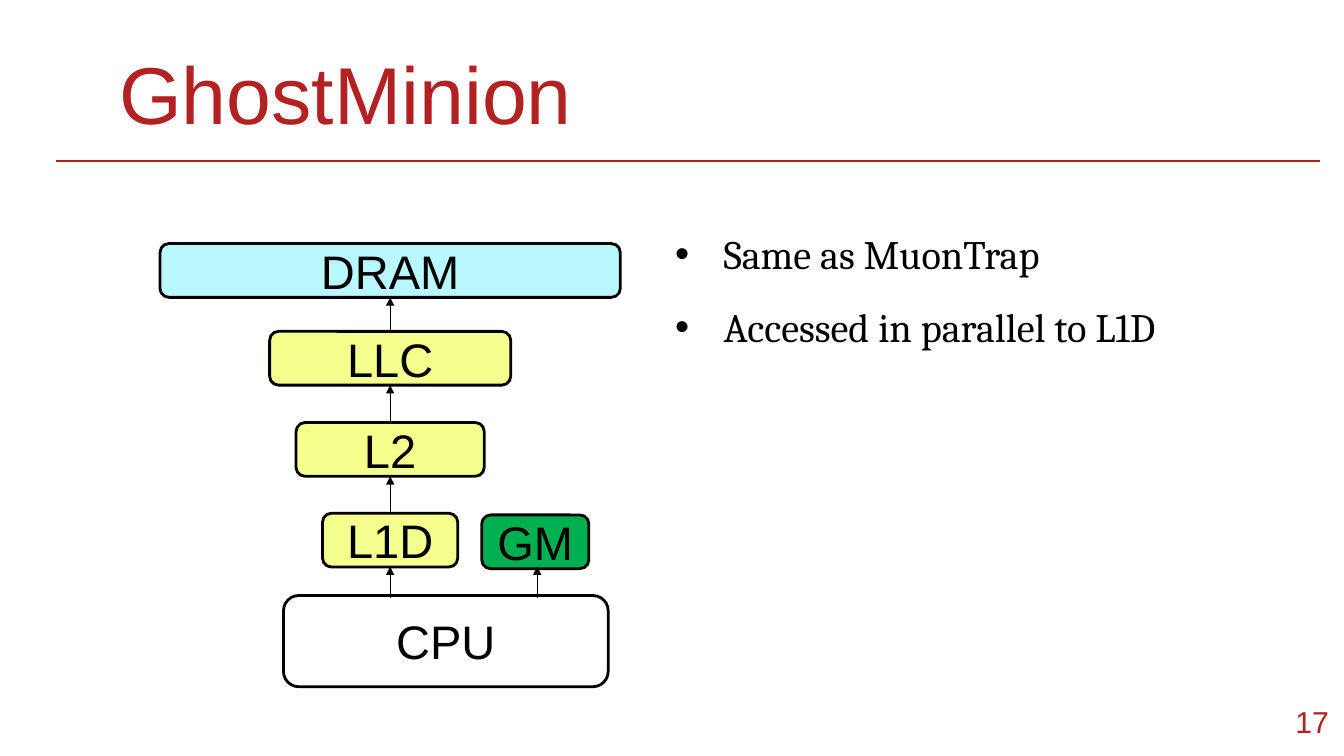
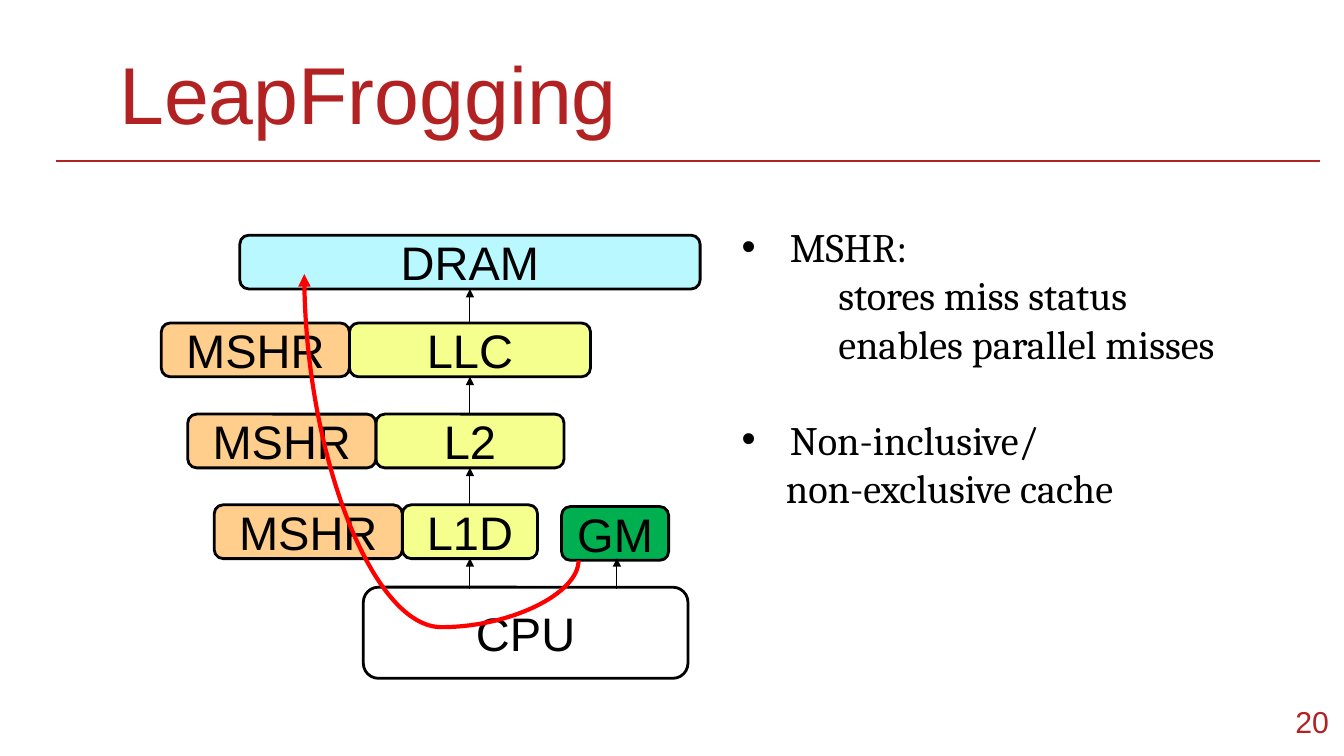
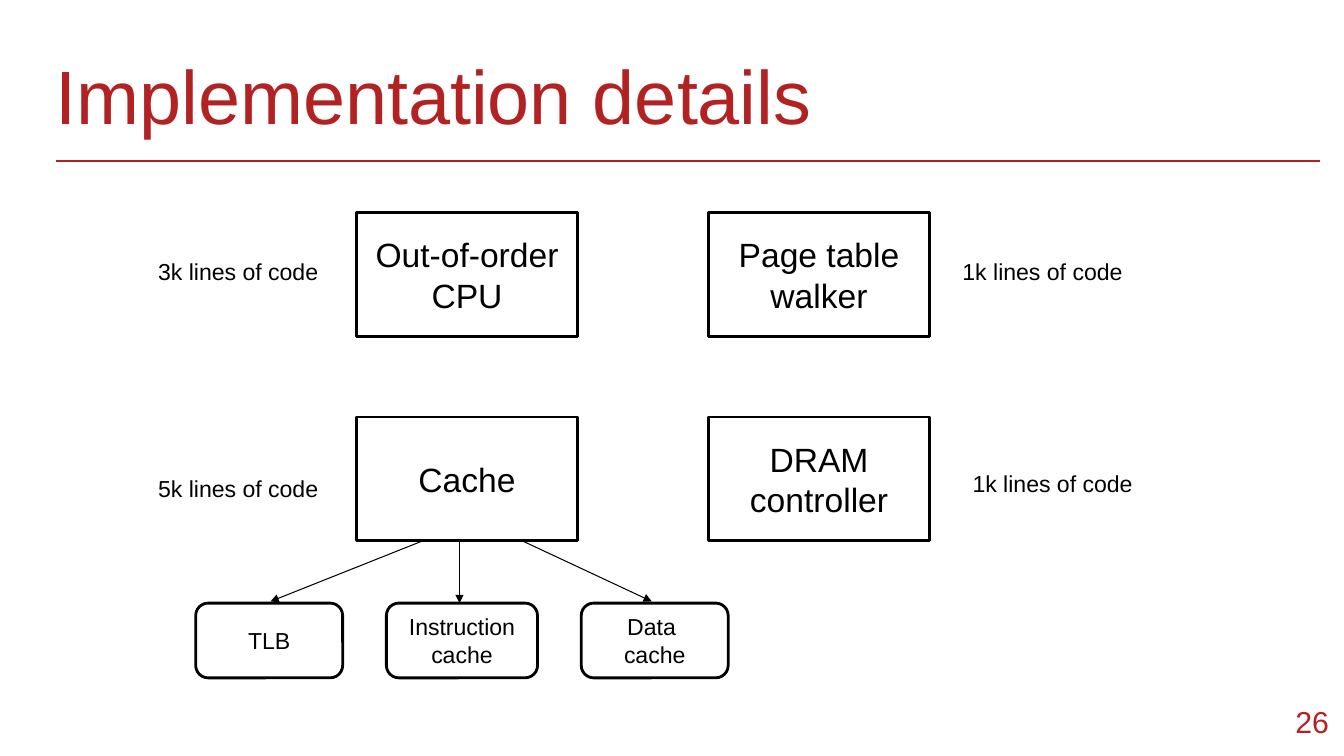
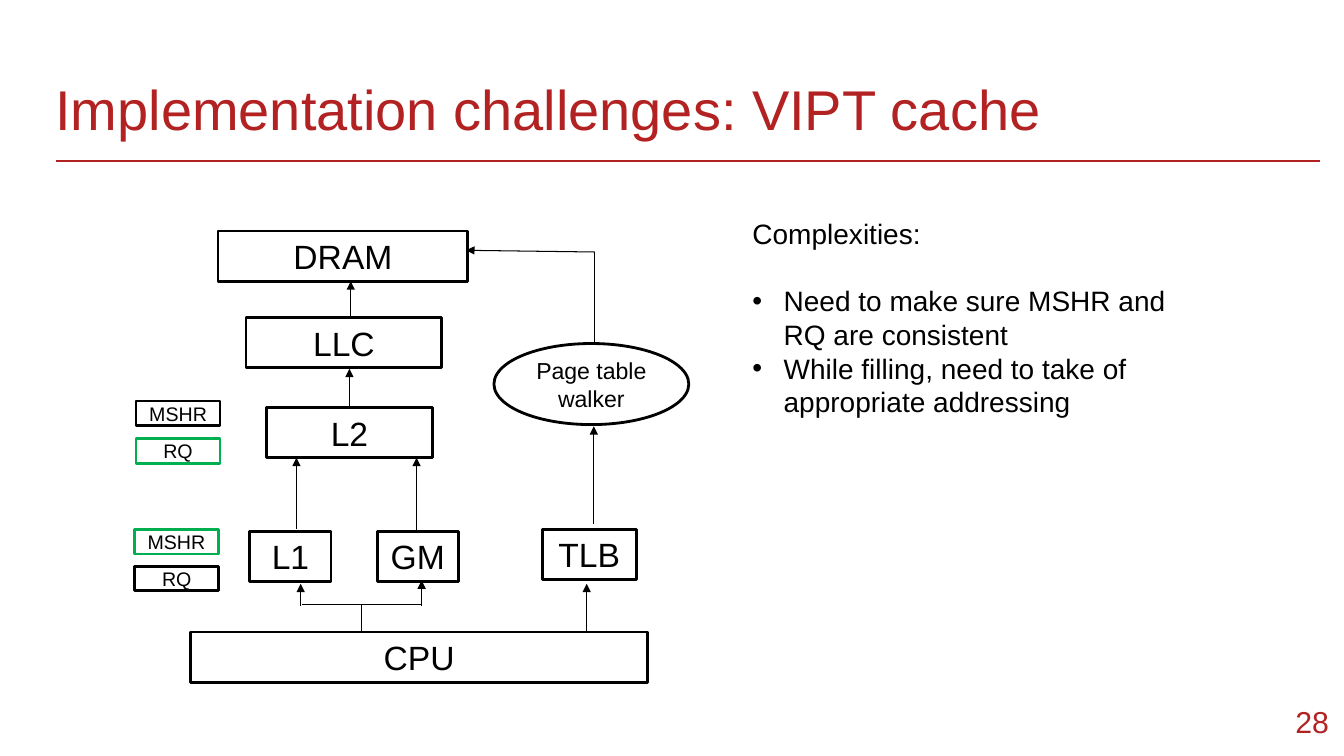
from dataclasses import dataclass

from lxml.etree import SubElement
from pptx import Presentation
from pptx.dml.color import RGBColor
from pptx.enum.shapes import MSO_CONNECTOR as Connector, MSO_SHAPE as Preset
from pptx.enum.text import MSO_ANCHOR as Anchor, MSO_AUTO_SIZE as AutoSize, PP_ALIGN as Align
from pptx.oxml.ns import qn
from pptx.util import Inches, Pt


@dataclass(frozen=True)
class Theme:
    sans: str = "Arial"
    serif: str = "Cambria"
    brick: str = "B22222"
    black: str = "000000"
    white: str = "FFFFFF"
    red: str = "FF0000"
    green: str = "00B050"
    cache: str = "F5FF8D"
    memory: str = "BAF8FF"
    queue: str = "FFCD8C"
    title: float = 57.6
    title_medium: float = 54
    title_small: float = 40
    level: float = 33.6
    bullet: float = 28.8
    block: float = 24
    number: float = 21.6
    remark: float = 20
    label: float = 16.5
    tag: float = 14
    outline: float = 2
    thin: float = 0.75
    rule: float = 1.5
    curve: float = 3


theme = Theme()
CELL = Inches(7.5) // 90

presentation = Presentation()
presentation.slide_width = 160 * CELL
presentation.slide_height = 90 * CELL
layout = presentation.slide_layouts[5]


def add_box(slide, place, lines, size, kind=None, fill=theme.white, outline=theme.black,
            color=theme.black, font=theme.sans, align=Align.CENTER, anchor=Anchor.MIDDLE):
    place = [int(value * CELL) for value in place]
    if kind is None:
        shape = slide.shapes.add_textbox(*place)
    else:
        shape = slide.shapes.add_shape(kind, *place)
        shape.shadow.inherit = False
        shape.fill.solid()
        shape.fill.fore_color.rgb = RGBColor.from_string(fill)
        shape.line.color.rgb = RGBColor.from_string(outline)
        shape.line.width = Pt(theme.outline)
    frame = shape.text_frame
    frame.word_wrap = True
    frame.vertical_anchor = anchor
    for index, line in enumerate(lines):
        paragraph = frame.add_paragraph() if index else frame.paragraphs[0]
        paragraph.alignment = align
        run = paragraph.add_run()
        run.text = line
        run.font.name = font
        run.font.size = Pt(size)
        run.font.color.rgb = RGBColor.from_string(color)
    return shape


def add_line(slide, start, end, arrow=True, color=theme.black, width=theme.thin,
             kind=Connector.STRAIGHT):
    ends = [int(value * CELL) for value in (*start, *end)]
    connector = slide.shapes.add_connector(kind, *ends)
    connector.line.color.rgb = RGBColor.from_string(color)
    connector.line.width = Pt(width)
    properties = connector.element.spPr
    if arrow:
        SubElement(properties.find(qn("a:ln")), qn("a:tailEnd"), type="triangle")
    SubElement(properties, qn("a:effectLst"))
    return connector


slides = []
for text, number, left, top, width, size in [
    ("GhostMinion", "17", 13, 4, 134, theme.title),
    ("LeapFrogging", "20", 13, 4, 134, theme.title),
    ("Implementation details", "26", 5.4, 4.6, 149, theme.title_medium),
    ("Implementation challenges: VIPT cache", "28", 5.4, 7.7, 149, theme.title_small),
]:
    slide = presentation.slides.add_slide(layout)
    slides.append(slide)
    title = slide.shapes.title
    title.left, title.top = int(left * CELL), int(top * CELL)
    title.width, title.height = width * CELL, 10 * CELL
    frame = title.text_frame
    frame.auto_size = AutoSize.NONE
    frame.word_wrap = True
    frame.vertical_anchor = Anchor.TOP
    frame.margin_top = frame.margin_bottom = Inches(0.1)
    frame.paragraphs[0].alignment = Align.LEFT
    run = frame.paragraphs[0].add_run()
    run.text = text
    run.font.name = theme.sans
    run.font.size = Pt(size)
    run.font.color.rgb = RGBColor.from_string(theme.brick)
    add_box(slide, (148.1, 82.4, 11.3, 6.9), [number], theme.number,
            color=theme.brick, align=Align.RIGHT)

ghost, leap, details, challenges = slides

rule = add_line(ghost, (6.7, 19.2), (157.1, 19.2), False, theme.brick, theme.rule)
rule.element.nvCxnSpPr.cNvPr.set("id", "20")
layout.shapes.element.insert(2, rule.element)

level_height = 6.4
levels = [
    ("DRAM", 0, 54.8, theme.memory),
    ("LLC", 10.45, 28.7, theme.cache),
    ("L2", 21.3, 22.4, theme.cache),
    ("L1D", 32.1, 16.1, theme.cache),
]
for slide, axis, top in [(ghost, 46.45, 29), (leap, 55.95, 28)]:
    for name, offset, width, fill in levels:
        add_box(slide, (axis - width / 2, top + offset, width, level_height), [name],
                theme.level, Preset.ROUNDED_RECTANGLE, fill)
    add_box(slide, (axis - 12.7, top + 41.9, 38.65, 10.85), ["CPU"],
            theme.level, Preset.ROUNDED_RECTANGLE)
    add_box(slide, (axis + 10.9, top + 32.3, 12.75, level_height), ["GM"],
            theme.level, Preset.ROUNDED_RECTANGLE, theme.green)
    for upper, lower in zip(levels, levels[1:]):
        add_line(slide, (axis, top + lower[1]), (axis, top + upper[1] + level_height))
    for x in (axis, axis + 17.5):
        add_line(slide, (x, top + 42.15), (x, top + 38.45))

queue_width = 22.4
for name, offset, width, fill in levels[1:]:
    add_box(leap, (55.95 - width / 2 - queue_width, 28 + offset, queue_width, level_height),
            ["MSHR"], theme.level, Preset.ROUNDED_RECTANGLE, theme.queue)

jump = add_line(leap, (35.5, 66), (69.6, 33.35), True, theme.red, theme.curve, Connector.CURVE)
jump.element.spPr.find(qn("a:xfrm")).set("rot", "16200000")
adjustments = jump.element.spPr.find(qn("a:prstGeom")).find(qn("a:avLst"))
SubElement(adjustments, qn("a:gd"), name="adj1", fmla="val -23300")

block_lines = [
    [["Out-of-order CPU"], ["Page table walker"]],
    [["Cache"], ["DRAM", "controller"]],
]
for top, row in zip((25.3, 49.65), block_lines):
    for left, lines in zip((42.45, 84.35), row):
        add_box(details, (left, top, 26.3, 14.75), lines, theme.block, Preset.RECTANGLE)

for left, width, lines, start, end in [
    (23.3, 17.5, ["TLB"], (50.3, 64.4), (32.2, 71.6)),
    (46, 18, ["Instruction cache"], (54.7, 64.4), (54.7, 71.8)),
    (69.2, 17.5, ["Data ", "cache"], (62.2, 64.4), (77.6, 71.6)),
]:
    add_box(details, (left, 71.8, width, 8.9), lines, theme.label, Preset.ROUNDED_RECTANGLE)
    add_line(details, start, end)

for left, top, count in [(17.65, 30, "3k"), (17.65, 55.9, "5k"),
                         (113.4, 30, "1k"), (114.6, 55.3, "1k")]:
    add_box(details, (left, top, 22.7, 4.6), [f"{count} lines of code"], theme.label,
            align=Align.LEFT, anchor=Anchor.TOP)

for name, left, top, width in [
    ("CPU", 22.7, 75.25, 54.4),
    ("L1", 29.75, 63.25, 9.65),
    ("GM", 44.9, 63.25, 9.65),
    ("TLB", 64.55, 63, 11.2),
    ("L2", 31.7, 48.5, 19.8),
    ("LLC", 29.3, 37.8, 23.3),
    ("DRAM", 25.95, 27.5, 29.75),
]:
    add_box(challenges, (left, top, width, 6), [name], theme.block, Preset.RECTANGLE)

add_box(challenges, (58.8, 40.9, 23.2, 9.65), ["Page table walker"], theme.label, Preset.OVAL)

for name, left, top, outline in [
    ("MSHR", 16.2, 47.75, theme.black),
    ("RQ", 16.2, 52.25, theme.green),
    ("MSHR", 16, 63.05, theme.green),
    ("RQ", 16.05, 67.45, theme.black),
]:
    add_box(challenges, (left, top, 10, 2.9), [name], theme.tag, Preset.RECTANGLE,
            outline=outline)

for start, end, arrow in [
    ((35.8, 72.1), (35.8, 69.5), True),
    ((50.2, 72.1), (50.2, 69.1), True),
    ((69.85, 75.25), (69.85, 69.5), True),
    ((70.7, 62.4), (70.7, 50.75), True),
    ((70.8, 30), (55.5, 29.8), True),
    ((49.6, 63.25), (49.6, 54.5), True),
    ((35.3, 63), (35.3, 54.5), True),
    ((41.6, 48.4), (41.6, 43.9), True),
    ((41.75, 37.7), (41.75, 33.5), True),
    ((70.8, 30), (70.8, 40.9), False),
    ((36, 72), (50.2, 72), False),
    ((43, 72), (43, 75.3), False),
]:
    add_line(challenges, start, end, arrow)

for slide, place, size, font, inset, spacing, hanging, items in [
    (ghost, (77.5, 23, 69.6, 29), theme.bullet, theme.serif, 0.12, 1.5, 0.48, [
        ("Same as MuonTrap", 0.6, True, 0),
        ("Accessed in parallel to L1D", 0.6, True, 0),
    ]),
    (leap, (85.4, 25, 65, 37.8), theme.bullet, theme.serif, 0.12, 1, 0.48, [
        ("MSHR:", 0.6, True, 0),
        ("stores miss status", 1.08, False, 0),
        ("enables parallel misses", 1.08, False, 0),
        ("Non-inclusive/", 0.6, True, 34),
        ("non-exclusive cache", 0.56, False, 0),
    ]),
    (challenges, (88.4, 25.2, 55.7, 33.5), theme.remark, theme.sans, 0.1, 1, 0.31, [
        ("Complexities:", 0, False, 0),
        ("Need to make sure MSHR and RQ are consistent", 0.31, True, 24),
        ("While filling, need to take of appropriate addressing", 0.31, True, 0),
    ]),
]:
    body = add_box(slide, place, [item[0] for item in items], size, font=font,
                   align=Align.LEFT, anchor=Anchor.TOP)
    frame = body.text_frame
    frame.margin_left = frame.margin_right = Inches(inset)
    frame.margin_top = Inches(inset if font == theme.serif else 0.05)
    for paragraph, (text, margin, bulleted, before) in zip(frame.paragraphs, items):
        properties = paragraph._p.get_or_add_pPr()
        properties.set("marL", str(Inches(margin)))
        properties.set("indent", str(-Inches(hanging) if bulleted else 0))
        if bulleted:
            color = SubElement(properties, qn("a:buClr"))
            SubElement(color, qn("a:srgbClr"), val=theme.black)
            SubElement(properties, qn("a:buFont"), typeface=theme.sans)
            SubElement(properties, qn("a:buChar"), char="•")
        paragraph.line_spacing = float(spacing)
        paragraph.space_before = Pt(before)

presentation.save("out.pptx")
